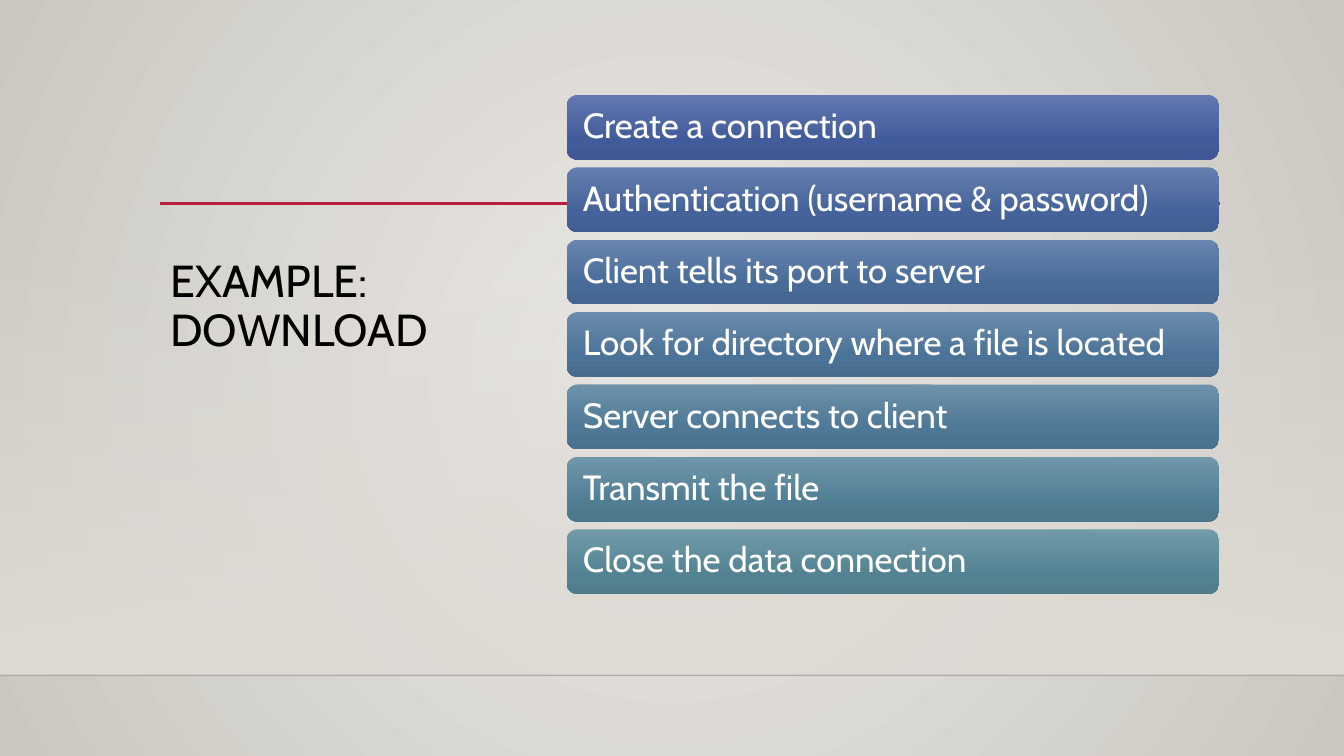
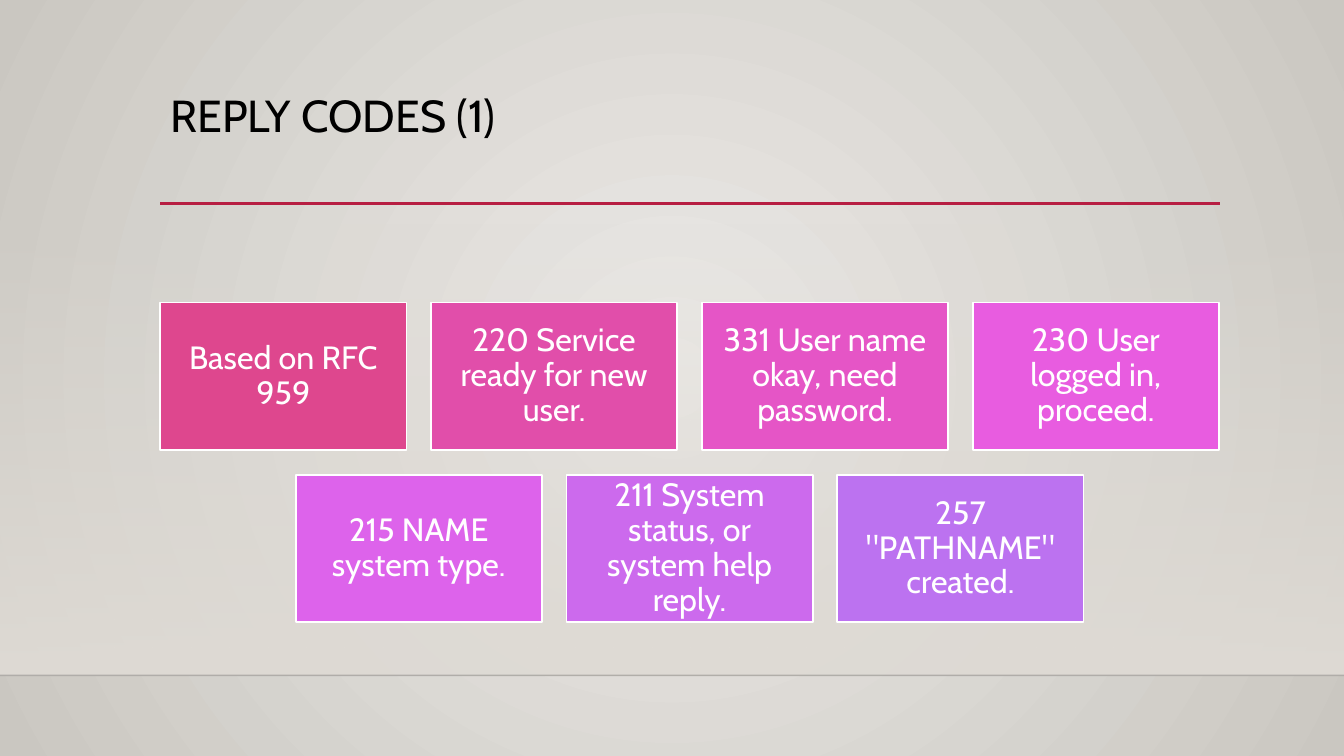
import collections

import lxml.etree
import pptx
import pptx.dml.color
import pptx.enum.shapes
import pptx.enum.text
import pptx.oxml.ns
import pptx.util

Box = collections.namedtuple("Box", "left top width height")
SLIDE = Box(0, 0, 13.33, 7.5)
FONT = "Cabin"
COLOURS = {
    "background": "ECEAE7 CAC7C1",
    "band": "DFDBD5",
    "floor": "000001",
    "rule": "B71E42",
    "title": "000000",
    "light": "FFFFFF",
}
STEPS = {
    "Create a connection": "6378B0 425B9B 3F5793",
    "Authentication (username & password)": "657FAF 45639A 415E92",
    "Client tells its port to server": "6886AE 486B98 446690",
    "Look for directory where a file is located": "6A8CAD 4B7297 476C8F",
    "Server connects to client": "6D92AB 4E7895 4A728E",
    "Transmit the file": "7097AA 507E94 4C778C",
    "Close the data connection": "729BA9 538393 4F7C8B",
}
REPLIES = {
    "Based on RFC 959": "DE478E",
    "220 Service ready for new user.": "E14EAA",
    "331 User name okay, need password.": "E555C6",
    "230 User logged in, proceed.": "E85CE0",
    "215 NAME system type.": "DD63EB",
    "211 System status, or system help reply.": "CC6AED",
    '257 "PATHNAME" created.': "BC72F0",
}
SHAPES = pptx.enum.shapes.MSO_SHAPE
ANCHOR = pptx.enum.text.MSO_ANCHOR
ALIGN = pptx.enum.text.PP_ALIGN
inches = pptx.util.Inches
rgb = pptx.dml.color.RGBColor.from_string
qn = pptx.oxml.ns.qn


def share(box, left, top, width, height):
    return Box(box.left + box.width * left / 100, box.top + box.height * top / 100,
               box.width * width / 100, box.height * height / 100)


def assign(target, values):
    for key, value in values.items():
        setattr(target, key, value)


def set_alpha(colour, percent):
    lxml.etree.SubElement(colour, qn("a:alpha"), val=str(percent * 1000))


def set_gradient(fill, holder, stops, radial=False):
    fill.solid()
    gradient = lxml.etree.Element(qn("a:gradFill"), rotWithShape="1")
    stop_list = lxml.etree.SubElement(gradient, qn("a:gsLst"))
    for position, hex_value, alpha in stops:
        stop = lxml.etree.SubElement(stop_list, qn("a:gs"), pos=str(position * 1000))
        colour = lxml.etree.SubElement(stop, qn("a:srgbClr"), val=hex_value)
        if alpha < 100:
            set_alpha(colour, alpha)
    if radial:
        shade = lxml.etree.SubElement(gradient, qn("a:path"), {"path": "circle"})
        lxml.etree.SubElement(shade, qn("a:fillToRect"),
                              dict.fromkeys("ltrb", "50000"))
    else:
        lxml.etree.SubElement(gradient, qn("a:lin"), ang="5400000", scaled="0")
    holder.replace(holder.find(qn("a:solidFill")), gradient)


def add_rule(slide, box, hex_value, width, alpha=100):
    rule = slide.shapes.add_connector(
        pptx.enum.shapes.MSO_CONNECTOR.STRAIGHT, inches(box.left), inches(box.top),
        inches(box.left + box.width), inches(box.top))
    rule.line.color.rgb = rgb(hex_value)
    rule.line.width = pptx.util.Pt(width)
    properties = rule.element.spPr
    if alpha < 100:
        set_alpha(next(properties.iter(qn("a:srgbClr"))), alpha)
    lxml.etree.SubElement(properties, qn("a:effectLst"))


def add_panel(slide, kind, box):
    panel = slide.shapes.add_shape(kind, *map(inches, box))
    panel.shadow.inherit = False
    panel.line.fill.background()
    return panel


def write(shape, text, size, hex_value, anchor, align, inset=0.1, inset_y=0.05):
    frame = shape.text_frame
    frame.text = text
    assign(frame, {
        "word_wrap": True, "auto_size": pptx.enum.text.MSO_AUTO_SIZE.NONE,
        "vertical_anchor": anchor,
        "margin_left": inches(inset), "margin_right": inches(inset),
        "margin_top": inches(inset_y), "margin_bottom": inches(inset_y),
    })
    paragraph = frame.paragraphs[0]
    assign(paragraph, {"alignment": align, "line_spacing": 0.9})
    font = paragraph.runs[0].font
    assign(font, {"name": FONT, "size": pptx.util.Pt(size), "bold": False})
    font.color.rgb = rgb(hex_value)


def add_base(deck, title_text, title_box):
    slide = deck.slides.add_slide(deck.slide_layouts[5])
    inner, outer = COLOURS["background"].split()
    fill = slide.background.fill
    fill.solid()
    set_gradient(fill, next(slide.element.iter(qn("p:bgPr"))),
                 [(0, inner, 100), (100, outer, 100)], radial=True)
    band = add_panel(slide, SHAPES.RECTANGLE, share(SLIDE, 0, 29.47, 100, 59.86))
    set_gradient(band.fill, band.element.spPr,
                 [(0, COLOURS["band"], 0), (100, COLOURS["band"], 100)])
    add_rule(slide, share(SLIDE, 0, 89.33, 100, 0), COLOURS["floor"], 1, 20)
    add_rule(slide, share(SLIDE, 11.93, 26.93, 78.84, 0), COLOURS["rule"], 2.5)
    title = slide.shapes.title
    assign(title, {key: inches(value) for key, value in title_box._asdict().items()})
    write(title, title_text, 32, COLOURS["title"], ANCHOR.TOP, ALIGN.LEFT)
    slide.shapes.element.append(title.element)
    return slide


def add_steps(slide, box, steps, gap_share=0.12):
    height = box.height / (len(steps) + (len(steps) - 1) * gap_share)
    for row, (text, shades) in enumerate(steps.items()):
        top = box.top + row * height * (1 + gap_share)
        step = add_panel(slide, SHAPES.ROUNDED_RECTANGLE,
                         Box(box.left, top, box.width, height))
        set_gradient(step.fill, step.element.spPr,
                     [(position, shade, 100)
                      for position, shade in zip((0, 69, 100), shades.split())])
        write(step, text, 25, COLOURS["light"], ANCHOR.MIDDLE, ALIGN.LEFT, 0.13)


def add_replies(slide, box, replies, columns=4, gap_share=0.1):
    width = box.width / (columns + (columns - 1) * gap_share)
    height, gap = width * 0.6, width * gap_share
    for index, (text, shade) in enumerate(replies.items()):
        row, column = divmod(index, columns)
        in_row = min(columns, len(replies) - row * columns)
        indent = (columns - in_row) * (width + gap) / 2
        card = add_panel(slide, SHAPES.RECTANGLE, Box(
            box.left + indent + column * (width + gap),
            box.top + row * (height + gap), width, height))
        card.fill.solid()
        card.fill.fore_color.rgb = rgb(shade)
        card.line.color.rgb = rgb(COLOURS["light"])
        card.line.width = pptx.util.Pt(1.25)
        write(card, text, 23, COLOURS["light"], ANCHOR.MIDDLE, ALIGN.CENTER, 0.1, 0.1)


def main():
    deck = pptx.Presentation()
    deck.slide_width, deck.slide_height = inches(SLIDE.width), inches(SLIDE.height)
    download = add_base(deck, "EXAMPLE: DOWNLOAD",
                        share(SLIDE, 11.93, 33.6, 26.86, 38.93))
    add_steps(download, share(SLIDE, 42.16, 12.56, 48.54, 66), STEPS)
    codes = add_base(deck, "REPLY CODES (1)",
                     share(SLIDE, 11.93, 11.73, 78.77, 15.33))
    add_replies(codes, share(SLIDE, 11.93, 40, 78.77, 42.3), REPLIES)
    deck.save("out.pptx")


if __name__ == "__main__":
    main()
